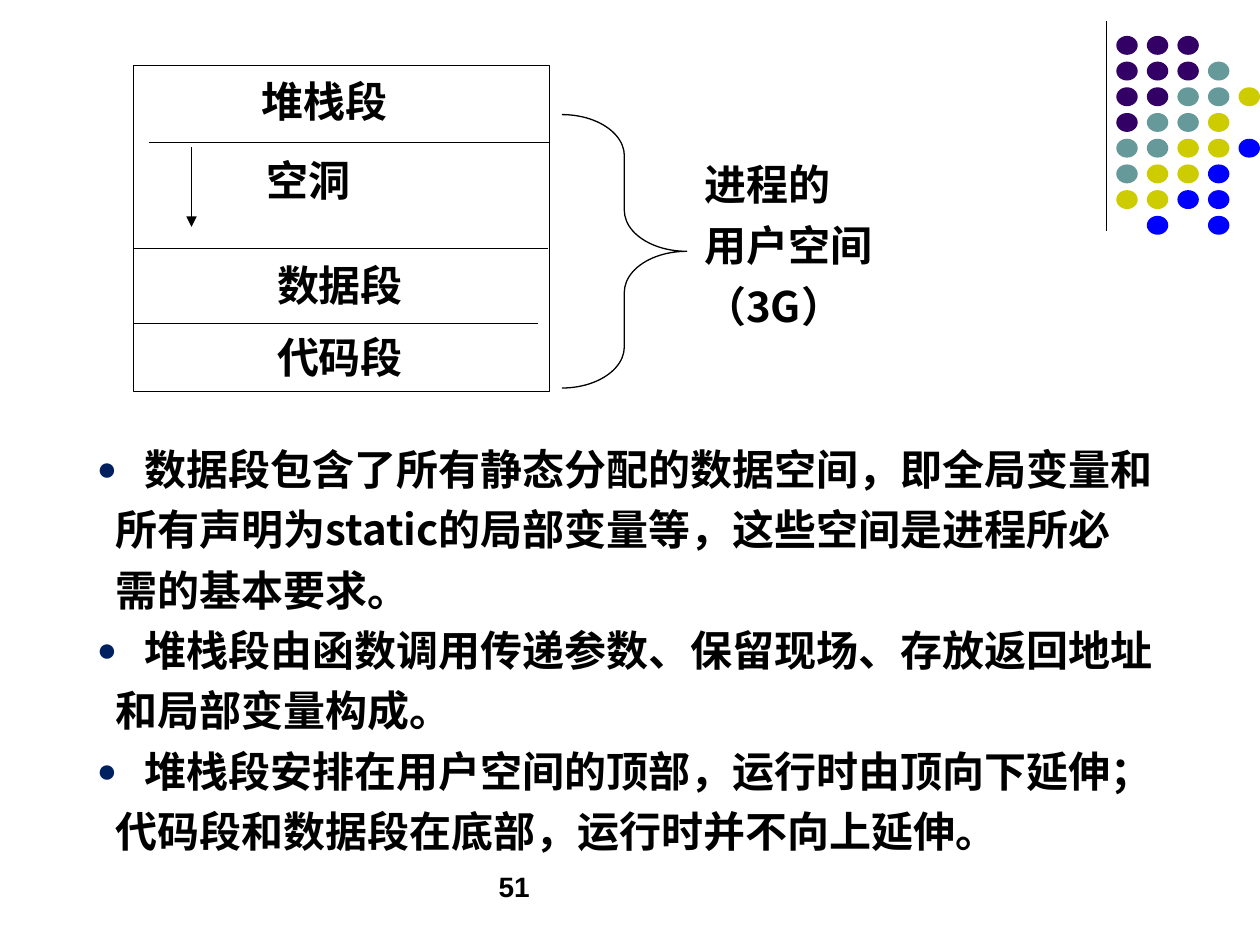
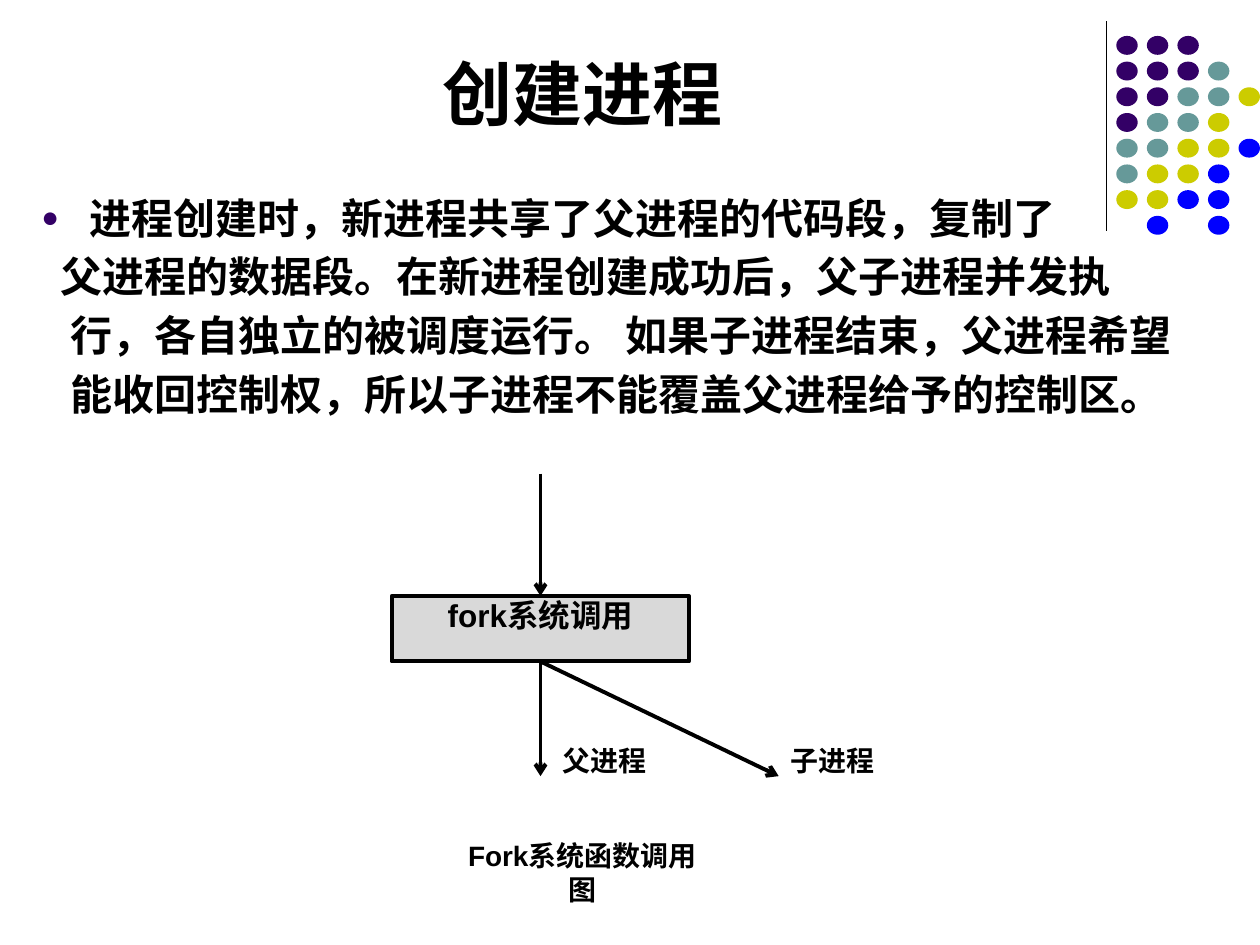
from dataclasses import dataclass

from lxml.etree import SubElement as Sub
from pptx import Presentation
from pptx.dml.color import RGBColor as Rgb
from pptx.enum.shapes import MSO_CONNECTOR as Conn, MSO_SHAPE as Kind
from pptx.enum.text import MSO_ANCHOR as Anchor, PP_ALIGN as Align
from pptx.oxml.ns import qn
from pptx.shapes.autoshape import Shape
from pptx.shapes.connector import Connector
from pptx.slide import Slide
from pptx.text.text import TextFrame
from pptx.util import Inches, Pt

HUES = {
    "black": "000000", "white": "FFFFFF", "grey": "D9D9D9", "navy": "002060",
    "P": "330066", "T": "669999", "Y": "CCCC00", "B": "0000FF",
}
DOTS = ["PPP", "PPPT", "PPTTY", "PTTY", "TTYYB", "TYYB", "YYBB", " B B"]
HAN = "Noto Sans CJK SC"
LATIN = "Arial"
FRAME = {"margin_top": 0, "margin_bottom": 0,
         "margin_left": Inches(0.1), "margin_right": Inches(0.1)}


@dataclass
class Box:
    x: float
    y: float
    w: float
    h: float


@dataclass
class Style:
    size: float
    face: str = LATIN
    align: Align = Align.LEFT
    anchor: Anchor = Anchor.TOP
    pitch: float | None = None
    gap: float = 0


@dataclass
class Line:
    text: str
    left: float = 0
    dot: str = ""
    scale: int = 100


@dataclass
class Path:
    x1: float
    y1: float
    x2: float
    y2: float
    width: float = 0.75
    tip: str = ""


def apply(target: object, values: dict) -> None:
    for name, value in values.items():
        setattr(target, name, value)


def hue(key: str) -> Rgb:
    return Rgb.from_string(HUES[key])


def area(box: Box) -> list[int]:
    return [Inches(v) for v in (box.x, box.y, box.w, box.h)]


def indent(para, line: Line) -> None:
    props = para._p.get_or_add_pPr()
    props.set("marL", str(Inches(line.left)))
    props.set("indent", str(Inches(-line.left if line.dot else 0)))
    if line.dot:
        paint = Sub(props, qn("a:buClr"))
        Sub(paint, qn("a:srgbClr"), val=HUES[line.dot])
        Sub(props, qn("a:buSzPct"), val=str(line.scale * 1000))
        Sub(props, qn("a:buFont"), typeface=LATIN)
        Sub(props, qn("a:buChar"), char="●")


def write(frame: TextFrame, lines: list[Line], style: Style) -> None:
    apply(frame, {**FRAME, "word_wrap": True, "vertical_anchor": style.anchor})
    for i, line in enumerate(lines):
        para = frame.paragraphs[0] if i == 0 else frame.add_paragraph()
        apply(para, {
            "alignment": style.align,
            "line_spacing": Pt(style.pitch) if style.pitch else None,
            "space_before": Pt(style.gap if i else 0),
        })
        indent(para, line)
        run = para.add_run()
        run.text = line.text
        apply(run.font, {"size": Pt(style.size), "bold": True, "name": style.face})
        run.font.color.rgb = hue("black")
        Sub(run._r.get_or_add_rPr(), qn("a:ea"), typeface=HAN)


def add_text(slide: Slide, box: Box, lines: list[Line], style: Style) -> None:
    write(slide.shapes.add_textbox(*area(box)).text_frame, lines, style)


def add_form(slide: Slide, kind: Kind, box: Box, fill: str = "",
             width: float = 0) -> Shape:
    form = slide.shapes.add_shape(kind, *area(box))
    form.shadow.inherit = False
    if fill:
        form.fill.solid()
        form.fill.fore_color.rgb = hue(fill)
    else:
        form.fill.background()
    if width:
        form.line.color.rgb = hue("black")
        form.line.width = Pt(width)
    else:
        form.line.fill.background()
    return form


def add_path(slide: Slide, path: Path) -> Connector:
    ends = [Inches(v) for v in (path.x1, path.y1, path.x2, path.y2)]
    link = slide.shapes.add_connector(Conn.STRAIGHT, *ends)
    link.line.color.rgb = hue("black")
    link.line.width = Pt(path.width)
    if path.tip:
        Sub(link.line._get_or_add_ln(), qn("a:tailEnd"), type=path.tip)
    Sub(link._element.spPr, qn("a:effectLst"))
    return link


def add_base(deck: Presentation) -> Slide:
    slide = deck.slides.add_slide(deck.slide_layouts[6])
    slide.background.fill.solid()
    slide.background.fill.fore_color.rgb = hue("white")
    for row, keys in enumerate(DOTS):
        for col, key in enumerate(keys):
            if key != " ":
                spot = Box(8.86 + 0.2425 * col, 0.285 + 0.204 * row, 0.17, 0.15)
                add_form(slide, Kind.OVAL, spot, key)
    add_path(slide, Path(8.78, 0.17, 8.78, 1.83))
    return slide


def draw_space(slide: Slide) -> None:
    add_form(slide, Kind.RECTANGLE, Box(1.06, 0.52, 3.3, 2.59), "white", 0.75)
    brace = add_form(slide, Kind.RIGHT_BRACE, Box(4.46, 0.91, 0.99, 2.17), width=0.75)
    brace.adjustments[0] = 0.33
    brace.adjustments[1] = 0.5
    for path in (
        Path(1.18, 1.13, 4.36, 1.13),
        Path(1.06, 1.97, 4.35, 1.97),
        Path(1.06, 2.57, 4.27, 2.57),
        Path(1.52, 1.17, 1.52, 1.8, tip="triangle"),
    ):
        add_path(slide, path)
    label = Style(24, HAN)
    for text, x, y in (
        ("堆栈段", 1.98, 0.6), ("空洞", 2.02, 1.23),
        ("数据段", 2.1, 2.06), ("代码段", 2.1, 2.63),
    ):
        add_text(slide, Box(x, y, 1.78, 0.48), [Line(text)], label)
    add_text(slide, Box(5.49, 1.13, 2.73, 1.62),
             [Line(t) for t in ("进程的", "用户空间", "（3G）")],
             Style(24, HAN, anchor=Anchor.MIDDLE, gap=6))
    add_text(slide, Box(3.86, 6.9, 2.33, 0.3), [Line("51")], Style(16))
    points = (
        ("数据段包含了所有静态分配的数据空间，即全局变量和",
         "所有声明为static的局部变量等，这些空间是进程所必",
         "需的基本要求。"),
        ("堆栈段由函数调用传递参数、保留现场、存放返回地址",
         "和局部变量构成。"),
        ("堆栈段安排在用户空间的顶部，运行时由顶向下延伸；",
         "代码段和数据段在底部，运行时并不向上延伸。"),
    )
    lines = []
    for first, *rest in points:
        lines.append(Line(first, 0.38, "navy", 80))
        lines += [Line(text, 0.15) for text in rest]
    add_text(slide, Box(0.67, 3.44, 8.98, 3.4), lines, Style(24, HAN, pitch=34.5))


def draw_fork(slide: Slide) -> None:
    mid = Align.CENTER
    add_text(slide, Box(0.5, 0.13, 8.25, 0.94), [Line("创建进程")],
             Style(40, align=mid, anchor=Anchor.BOTTOM))
    add_text(slide, Box(0.23, 1.46, 9.42, 1.9), [
        Line("进程创建时，新进程共享了父进程的代码段，复制了", 0.38, "P", 70),
        Line("父进程的数据段。在新进程创建成功后，父子进程并发执", 0.15),
        Line("行，各自独立的被调度运行。 如果子进程结束，父进程希望", 0.23),
        Line("能收回控制权，所以子进程不能覆盖父进程给予的控制区。", 0.23),
    ], Style(24, pitch=33.5))
    call = add_form(slide, Kind.RECTANGLE, Box(3.11, 4.73, 2.36, 0.52), "grey", 2.25)
    write(call.text_frame, [Line("fork系统调用")], Style(18, align=mid))
    enter = add_path(slide, Path(4.29, 3.76, 4.29, 4.73, 2.25, "arrow"))
    enter.end_connect(call, 0)
    for x in (4.29, 6.18):
        leave = add_path(slide, Path(4.29, 5.25, x, 6.16, 2.25, "arrow"))
        leave.begin_connect(call, 2)
    for text, x in (("父进程", 4.36), ("子进程", 6.17)):
        add_text(slide, Box(x, 5.9, 0.88, 0.3), [Line(text)], Style(16, align=mid))
    add_text(slide, Box(3.52, 6.65, 2.2, 0.55), [Line("Fork系统函数调用图")],
             Style(16, align=mid, pitch=19.5))


def main() -> None:
    deck = Presentation()
    apply(deck, {"slide_width": Inches(10), "slide_height": Inches(7.5)})
    for draw in (draw_space, draw_fork):
        draw(add_base(deck))
    deck.save("out.pptx")


if __name__ == "__main__":
    main()
